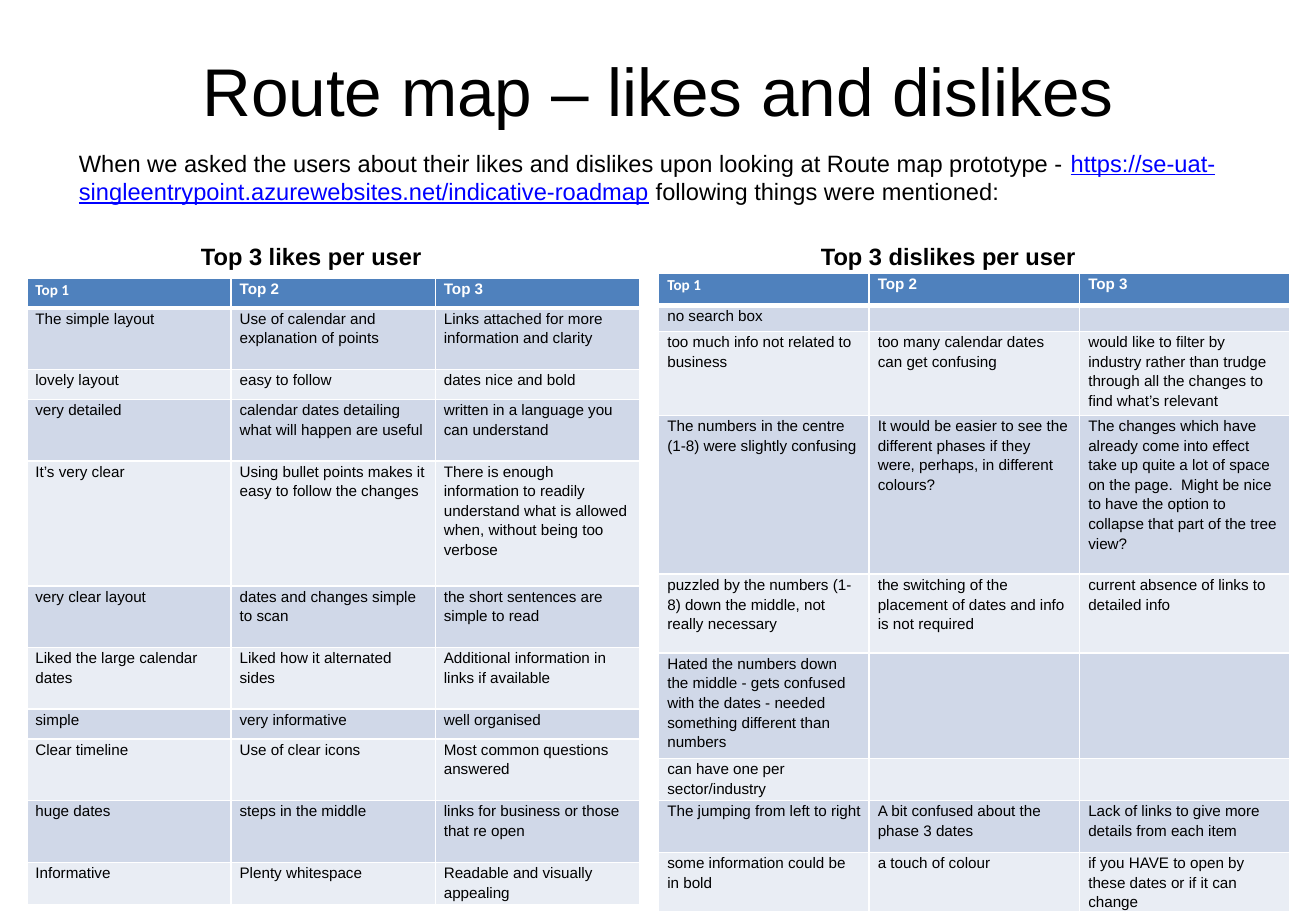
from dataclasses import dataclass
from lxml.etree import SubElement
from pptx import Presentation
from pptx.dml.color import RGBColor
from pptx.enum.text import PP_ALIGN
from pptx.oxml.ns import qn
from pptx.util import Cm, Pt


@dataclass(frozen=True)
class Theme:
    """Fonts, type sizes and colours of the slide."""
    font: str = "Arial"
    alt: str = "Calibri"
    title: int = 40
    body: int = 14
    cell: int = 9
    ink: str = "000000"
    link: str = "0000FF"
    white: str = "FFFFFF"
    head: str = "4F81BD"
    bands: tuple = ("D0D8E8", "E9EDF4")


THEME = Theme()
HEAD = ("Top 1", "Top 2", "Top 3")
LIKES = (
    (0.62, HEAD),
    (1.29, ("The simple layout", "Use of calendar and explanation of points",
            "Links attached for more information and clarity")),
    (0.62, ("lovely layout", "easy to follow", "dates nice and bold")),
    (1.29, ("very detailed", "calendar dates detailing what will happen are useful",
            "written in a language you can understand")),
    (2.61, ("It’s very clear", "Using bullet points makes it easy to follow the changes",
            "There is enough information to readily understand what is allowed when, "
            "without being too verbose")),
    (1.29, ("very clear layout", "dates and changes simple to scan",
            "the short sentences are simple to read")),
    (1.29, ("Liked the large calendar dates", "Liked how it alternated sides",
            "Additional information in links if available")),
    (0.62, ("simple", "very informative", "well organised")),
    (1.29, ("Clear timeline", "Use of clear icons", "Most common questions answered")),
    (1.29, ("huge dates", "steps in the middle", "links for business or those that re open")),
    (0.62, ("Informative", "Plenty whitespace", "Readable and visually appealing")),
)
DISLIKES = (
    (0.67, HEAD),
    (0.54, ("no search box", "", "")),
    (1.73, ("too much info not related to business", "too many calendar dates can get confusing",
            "would like to filter by industry rather than trudge through all the changes "
            "to find what’s relevant")),
    (3.32, ("The numbers in the centre (1-8) were slightly confusing",
            "It would be easier to see the different phases if they were, perhaps, "
            "in different colours?",
            "The changes which have already come into effect take up quite a lot of space "
            "on the page.  Might be nice to have the option to collapse that part of the "
            "tree view?")),
    (1.65, ("puzzled by the numbers (1-8) down the middle, not really necessary",
            "the switching of the placement of dates and info is not required",
            "current absence of links to detailed info")),
    (2.2, ("Hated the numbers down the middle - gets confused with the dates - needed "
           "something different than numbers", "", "")),
    (0.84, ("can have one per sector/industry", "", "")),
    (1.09, ("The jumping from left to right", "A bit confused about the phase 3 dates",
            "Lack of links to give more details from each item")),
    (1.28, ("some information could be in bold", "a touch of colour",
            "if you HAVE to open by these dates or if it can change")),
)


def style(run, size, color=THEME.ink, bold=False, face=THEME.font):
    """Format one run."""
    font = run.font
    font.name, font.size, font.bold = face, Pt(size), bold
    font.color.rgb = RGBColor.from_string(color)


def add_text(slide, box, parts, size, bold=False, align=PP_ALIGN.LEFT):
    """Add a text box of (text, colour) parts; link-coloured parts are underlined."""
    frame = slide.shapes.add_textbox(*map(Cm, box)).text_frame
    frame.word_wrap = True
    line = frame.paragraphs[0]
    line.alignment = align
    for text, color in parts:
        run = line.add_run()
        run.text = text
        style(run, size, color, bold)
        run.font.underline = color == THEME.link


def add_edges(cell, base):
    """Draw white cell borders, with a bottom line of the given width."""
    props = cell._tc.get_or_add_tcPr()
    for side, width in (("L", 1), ("R", 1), ("T", 1), ("B", base)):
        line = SubElement(props, qn(f"a:ln{side}"), w=str(Pt(width)))
        fill = SubElement(line, qn("a:solidFill"))
        SubElement(fill, qn("a:srgbClr"), val=THEME.white)


def fill_cell(cell, text, row, col):
    """Write and format one table cell."""
    head = row == 0
    add_edges(cell, 3 if head else 1)
    cell.margin_left = cell.margin_right = Cm(0.18)
    cell.margin_top = cell.margin_bottom = 0
    cell.fill.solid()
    shade = THEME.head if head else THEME.bands[(row - 1) % 2]
    cell.fill.fore_color.rgb = RGBColor.from_string(shade)
    line = cell.text_frame.paragraphs[0]
    line.line_spacing = 1.15
    if not text:
        SubElement(line._p, qn("a:endParaRPr"), sz=str(THEME.cell * 100))
        return
    line.text = text
    face = THEME.alt if head and col == 0 else THEME.font
    color = THEME.white if head else THEME.ink
    style(line.runs[0], THEME.cell, color, head, face)


def add_grid(slide, left, top, width, rows):
    """Add a table of equal columns from (height, texts) rows."""
    count = len(HEAD)
    high = sum(height for height, _ in rows)
    grid = slide.shapes.add_table(
        len(rows), count, Cm(left), Cm(top), Cm(width * count), Cm(high)).table
    for col in grid.columns:
        col.width = Cm(width)
    for row, (height, texts) in enumerate(rows):
        grid.rows[row].height = Cm(height)
        for col, text in enumerate(texts):
            fill_cell(grid.cell(row, col), text, row, col)


def main():
    """Build the slide and save it."""
    deck = Presentation()
    deck.slide_width, deck.slide_height = Cm(27.51), Cm(19.05)
    slide = deck.slides.add_slide(deck.slide_layouts[6])
    add_text(slide, (1.37, 0.9, 24.77, 1.9),
             [("Route map – likes and dislikes", THEME.ink)],
             THEME.title, align=PP_ALIGN.CENTER)
    add_text(slide, (1.4, 2.98, 24.74, 1.5), [
        ("When we asked the users about their likes and dislikes upon looking at "
         "Route map prototype - ", THEME.ink),
        ("https://se-uat-singleentrypoint.azurewebsites.net/indicative-roadmap", THEME.link),
        (" following things were mentioned:", THEME.ink)], THEME.body)
    for left, text in ((3.95, "Top 3 likes per user"), (16.91, "Top 3 dislikes per user")):
        add_text(slide, (left, 4.93, 7, 0.8), [(text, THEME.ink)], THEME.body, True)
    add_grid(slide, 0.56, 5.82, 4.27, LIKES)
    add_grid(slide, 13.77, 5.72, 4.4, DISLIKES)
    deck.save("out.pptx")


if __name__ == "__main__":
    main()
